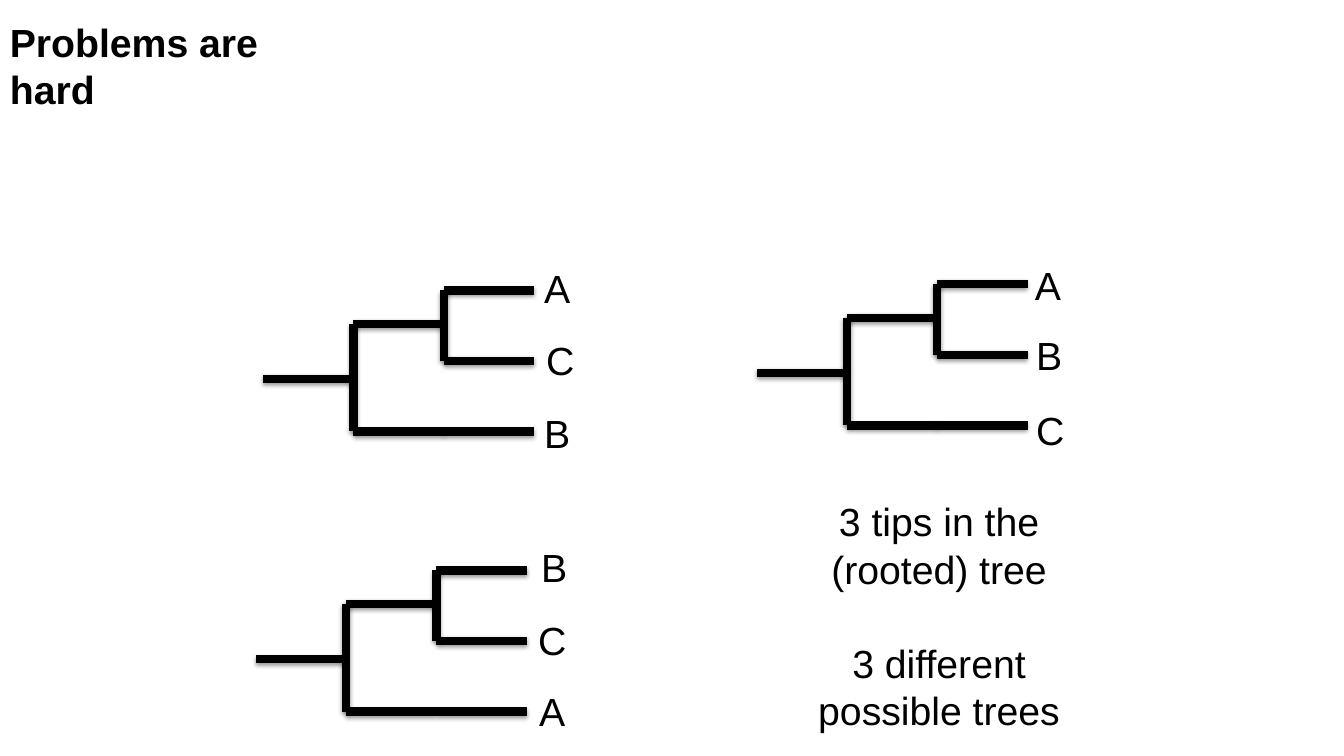
from lxml.etree import SubElement
from pptx import Presentation
from pptx.dml.color import RGBColor
from pptx.enum.shapes import MSO_CONNECTOR as Connector
from pptx.enum.text import MSO_AUTO_SIZE as AutoSize, PP_ALIGN as Align
from pptx.oxml.ns import qn
from pptx.util import Pt


def color(value):
    return RGBColor.from_string(value)


class TreeSlide:
    """Draws rooted trees and captions on one slide in a shared style."""

    ink = "000000"
    font = {"name": "Arial", "size": Pt(28)}
    line_width = 6
    branch = 64.5
    tip_gap = 50.4
    inner_drop = 24
    root_drop = 63.4

    def __init__(self, presentation):
        self.slide = presentation.slides.add_slide(presentation.slide_layouts[6])

    def line(self, shapes, x1, y1, x2, y2):
        connector = shapes.add_connector(
            Connector.STRAIGHT, Pt(x1), Pt(y1), Pt(x2), Pt(y2)
        )
        connector.line.width = Pt(self.line_width)
        connector.line.color.rgb = color(self.ink)
        effects = SubElement(connector._element.spPr, qn("a:effectLst"))
        shadow = SubElement(
            effects, qn("a:outerShdw"), blurRad=str(Pt(3)), dist=str(Pt(1.6)),
            dir="5400000", rotWithShape="0",
        )
        shade = SubElement(shadow, qn("a:srgbClr"), val=self.ink)
        SubElement(shade, qn("a:alpha"), val="38000")

    def text(self, shapes, paragraphs, left, top, width, height,
             wrap=True, align=Align.LEFT, gap=0, **extra):
        box = shapes.add_textbox(Pt(left), Pt(top), Pt(width), Pt(height))
        frame = box.text_frame
        frame.word_wrap = wrap
        frame.auto_size = AutoSize.SHAPE_TO_FIT_TEXT
        for index, content in enumerate(paragraphs):
            paragraph = frame.add_paragraph() if index else frame.paragraphs[0]
            paragraph.text = content
            paragraph.alignment = align
            if index:
                paragraph.space_before = Pt(gap)
            for name, value in {**self.font, **extra}.items():
                setattr(paragraph.font, name, value)
            paragraph.font.color.rgb = color(self.ink)

    def tree(self, left, top, labels):
        shapes = self.slide.shapes.add_group_shape().shapes
        root, outer, inner, tip = (left + self.branch * step for step in range(4))
        first, second, third = (top + self.tip_gap * step for step in range(3))
        inner_y, root_y = top + self.inner_drop, top + self.root_drop
        for y in (first, second, third):
            self.line(shapes, tip, y, inner, y)
        self.line(shapes, inner, first, inner, second)
        self.line(shapes, inner, third, outer, third)
        self.line(shapes, inner, inner_y, outer, inner_y)
        self.line(shapes, outer, inner_y, outer, third)
        self.line(shapes, outer, root_y, root, root_y)
        for label, x, y in labels:
            self.text(shapes, [label], x, y, 33, 41, wrap=False)


def main():
    presentation = Presentation()
    presentation.slide_width = Pt(960)
    presentation.slide_height = Pt(540)
    page = TreeSlide(presentation)
    trees = [
        (540.5, 203, [("A", 732.2, 183), ("B", 733, 233.3), ("C", 733, 286.6)]),
        (188, 207.4, [("A", 381.6, 185), ("C", 383, 237), ("B", 381.6, 288.7)]),
        (182.8, 407.5, [("B", 379.4, 384.5), ("C", 377.3, 437), ("A", 378, 487.4)]),
    ]
    for left, top, labels in trees:
        page.tree(left, top, labels)
    page.text(
        page.slide.shapes,
        ["3 tips in the (rooted) tree", "3 different possible trees"],
        552.2, 352, 237, 177, align=Align.CENTER, gap=34,
    )
    page.text(page.slide.shapes, ["Problems are hard"], 0, 9.4, 252.7, 41, bold=True)
    presentation.save("out.pptx")


if __name__ == "__main__":
    main()
